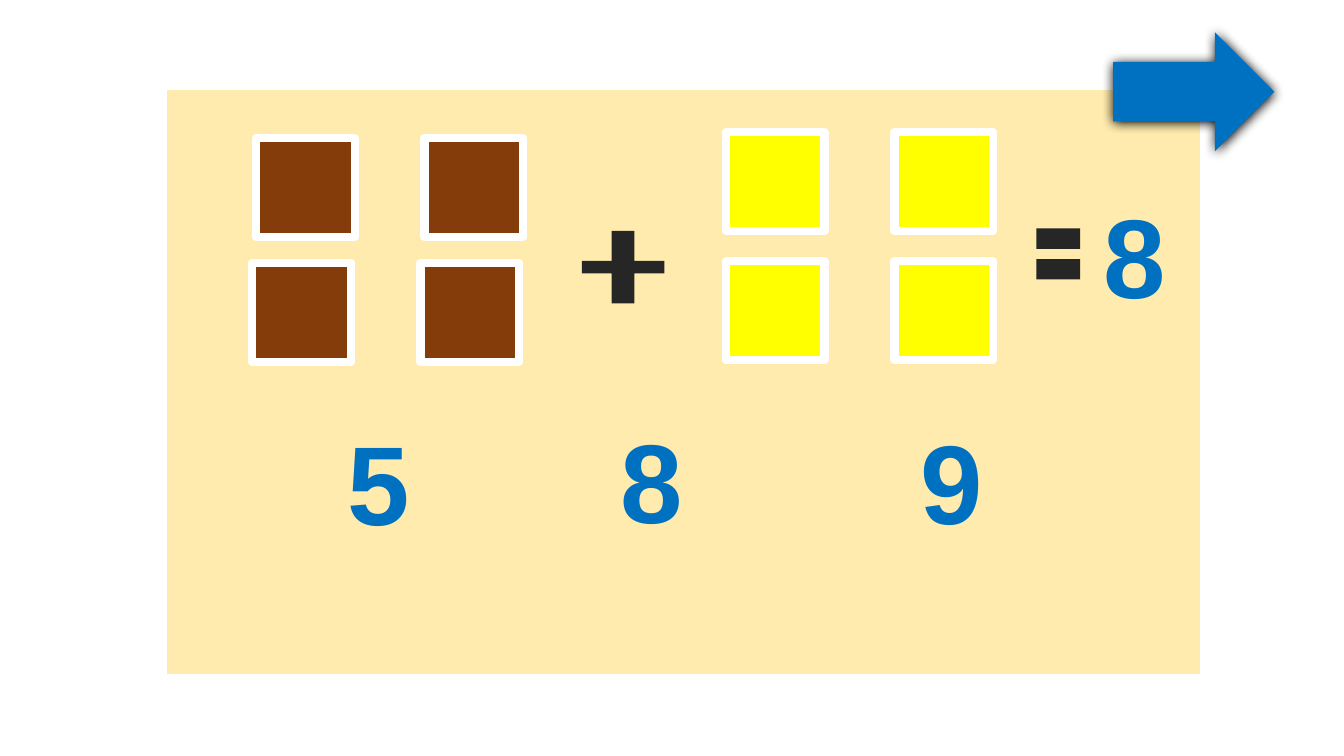
from lxml import etree
from pptx import Presentation
from pptx.dml.color import RGBColor
from pptx.enum.shapes import MSO_SHAPE as Preset
from pptx.enum.text import MSO_AUTO_SIZE, PP_ALIGN
from pptx.oxml import parse_xml
from pptx.oxml.ns import nsdecls, qn
from pptx.util import Inches, Pt

WHITE = RGBColor(0xFF, 0xFF, 0xFF)
CREAM = RGBColor(0xFF, 0xE6, 0x99)
BLUE = RGBColor(0x00, 0x70, 0xC0)
DARK = RGBColor(0x26, 0x26, 0x26)
BROWN = RGBColor(0x84, 0x3C, 0x0B)
YELLOW = RGBColor(0xFF, 0xFF, 0x00)
GOLD = RGBColor(0xFF, 0xC0, 0x00)

# Content: rows of squares (left, top, colour) and numbers (text, box)
SQUARE_SIZE = 0.98
COLUMN_STEP = 1.67
SQUARE_ROWS = [
    (2.54, 1.37, BROWN),
    (2.50, 2.61, BROWN),
    (7.20, 1.31, YELLOW),
    (7.20, 2.59, YELLOW),
]
NUMBERS = [
    ("5", (2.94, 4.05, 1.64, 1.45)),
    ("8", (5.64, 4.03, 1.64, 1.45)),
    ("9", (8.62, 4.04, 1.64, 1.45)),
    ("8", (10.68, 1.80, 1.14, 1.45)),
]

presentation = Presentation()
presentation.slide_width = Inches(13.33)
presentation.slide_height = Inches(7.5)
slide = presentation.slides.add_slide(presentation.slide_layouts[6])


def add_figure(preset, box, color, line_width=None):
    shape = slide.shapes.add_shape(preset, *map(Inches, box))
    shape.shadow.inherit = False
    shape.fill.solid()
    shape.fill.fore_color.rgb = color
    if line_width:
        shape.line.color.rgb = WHITE
        shape.line.width = Pt(line_width)
    else:
        shape.line.fill.background()
    return shape


def add_number(text, box):
    text_box = slide.shapes.add_textbox(*map(Inches, box))
    frame = text_box.text_frame
    frame.word_wrap = True
    frame.auto_size = MSO_AUTO_SIZE.SHAPE_TO_FIT_TEXT
    paragraph = frame.paragraphs[0]
    paragraph.alignment = PP_ALIGN.CENTER
    run = paragraph.add_run()
    run.text = text
    font = paragraph.font
    font.name = "Arial"
    font.size = Pt(80)
    font.bold = True
    font.color.rgb = BLUE
    # Letter outline
    run._r.get_or_add_rPr().insert(0, parse_xml(
        f'<a:ln {nsdecls("a")} w="{Pt(4.5)}"><a:solidFill>'
        f'<a:srgbClr val="{GOLD}"/></a:solidFill></a:ln>'))


# Translucent panel
panel = add_figure(Preset.RECTANGLE, (1.62, 0.86, 10.31, 5.86), CREAM, 4.5)
panel_color = panel._element.spPr.find(qn("a:solidFill"))[0]
etree.SubElement(panel_color, qn("a:alpha"), val="80000")

# Next arrow with a soft shadow
arrow = add_figure(Preset.RIGHT_ARROW, (11.04, 0.32, 1.6, 1.18), BLUE)
arrow._element.spPr.find(qn("a:effectLst")).append(parse_xml(
    f'<a:outerShdw {nsdecls("a")} blurRad="{Pt(8.5)}" dist="{Pt(1)}" '
    'dir="5400000" algn="ctr" rotWithShape="0">'
    '<a:srgbClr val="000000"/></a:outerShdw>'))

# Operators
plus = add_figure(Preset.CROSS, (5.77, 2.29, 0.82, 0.72), DARK)
plus.adjustments[0] = 0.413
add_figure(Preset.MATH_EQUAL, (10.2, 2.09, 0.59, 0.86), DARK)

# Counting squares, two in each row
for left, top, color in SQUARE_ROWS:
    for column in range(2):
        box = (left + column * COLUMN_STEP, top, SQUARE_SIZE, SQUARE_SIZE)
        add_figure(Preset.RECTANGLE, box, color, 6)

# Answer choices and result
for text, box in NUMBERS:
    add_number(text, box)

presentation.save("out.pptx")
